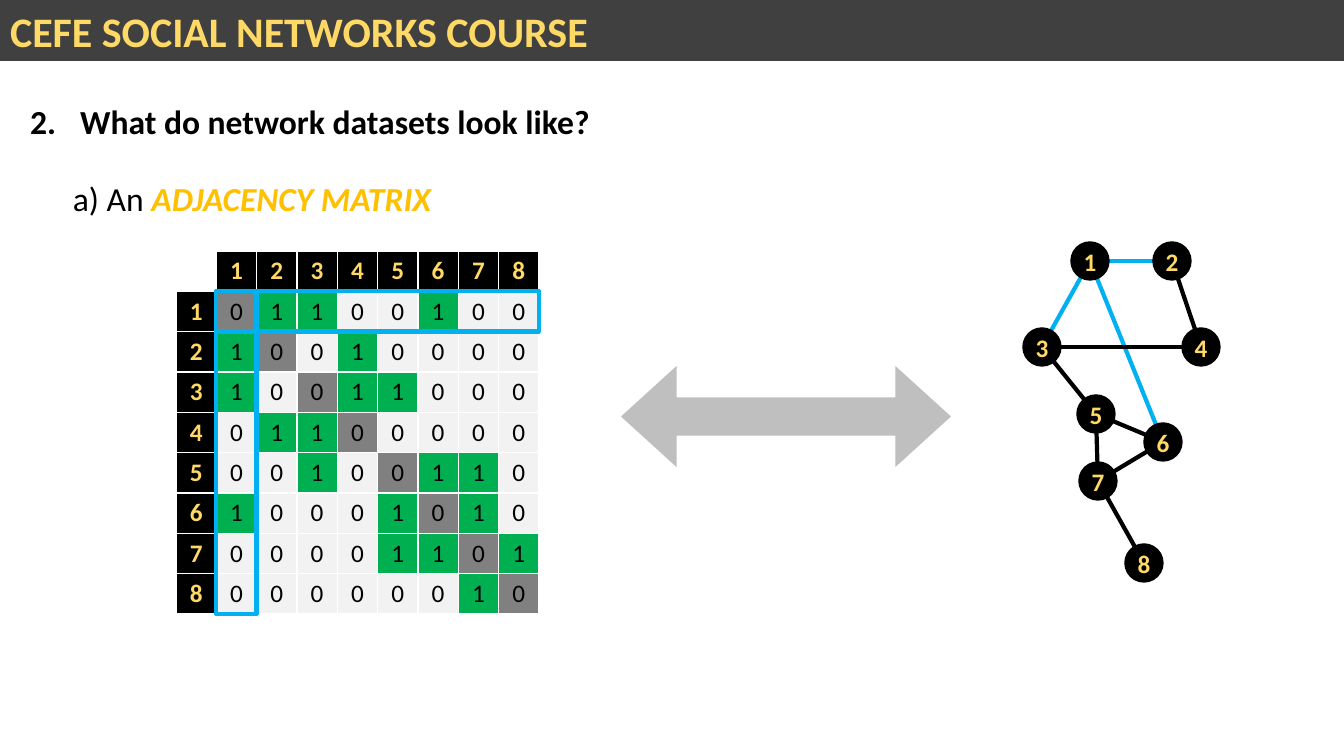
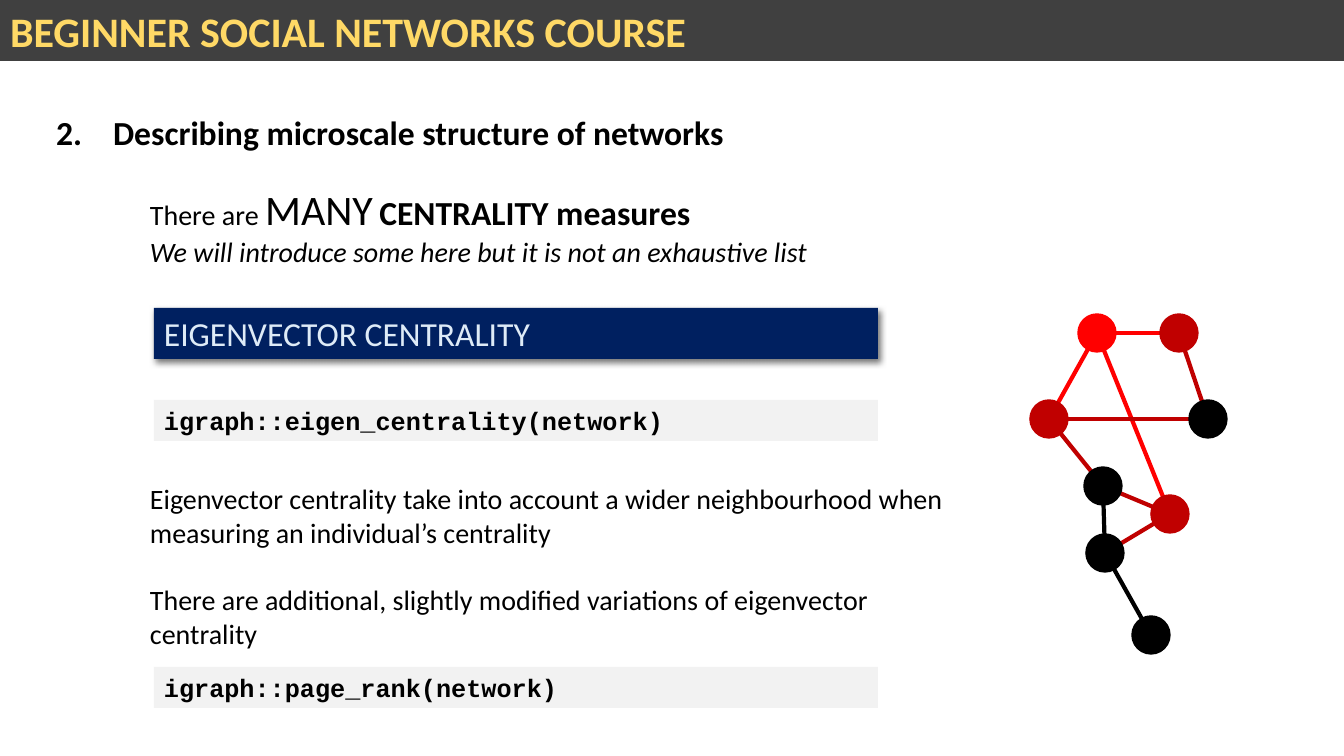
from lxml import etree
from pptx import Presentation
from pptx.dml.color import RGBColor
from pptx.enum.shapes import MSO_CONNECTOR, MSO_SHAPE
from pptx.enum.text import MSO_ANCHOR, MSO_AUTO_SIZE, PP_ALIGN
from pptx.oxml.ns import qn
from pptx.util import Pt

PX = 914400 / 100.8
WIDTH, HEIGHT = 1344, 756

BLACK = RGBColor(0x00, 0x00, 0x00)
WHITE = RGBColor(0xFF, 0xFF, 0xFF)
CHARCOAL = RGBColor(0x40, 0x40, 0x40)
MID_GREY = RGBColor(0x80, 0x80, 0x80)
ARROW_GREY = RGBColor(0xBF, 0xBF, 0xBF)
PALE_GREY = RGBColor(0xF2, 0xF2, 0xF2)
YELLOW = RGBColor(0xFF, 0xD9, 0x66)
GOLD = RGBColor(0xFF, 0xC0, 0x00)
GREEN = RGBColor(0x00, 0xB0, 0x50)
SKY = RGBColor(0x00, 0xB0, 0xF0)
NAVY = RGBColor(0x00, 0x20, 0x60)
ICE = RGBColor(0xDE, 0xEB, 0xF7)
RED = RGBColor(0xFF, 0x00, 0x00)
DARK_RED = RGBColor(0xC0, 0x00, 0x00)

TITLE = {"size": Pt(30), "bold": True, "color": YELLOW}
HEADING = {"size": Pt(24), "bold": True}
LABEL = {"size": Pt(18), "bold": True, "color": YELLOW}
VALUE = {"size": Pt(18), "bold": False}
BODY = {"size": Pt(20)}
CODE = {"size": Pt(18), "bold": True, "name": "Courier New"}

NODES = {1: (1090, 261), 2: (1172, 261), 3: (1042, 347), 4: (1201, 347),
         5: (1096, 414), 6: (1163, 442), 7: (1098, 481), 8: (1144, 563)}
EDGES = [(1, 2), (1, 3), (1, 6), (2, 4), (3, 4),
         (3, 5), (5, 6), (5, 7), (6, 7), (7, 8)]
NODE_SIZE = 38


def px(*lengths):
    return [round(length * PX) for length in lengths]


def write(frame, paragraphs, align=PP_ALIGN.LEFT):
    """Fill a text frame; each paragraph is a list of (text, format) runs."""
    frame.word_wrap = True
    frame.auto_size = MSO_AUTO_SIZE.NONE
    for number, runs in enumerate(paragraphs):
        para = frame.add_paragraph() if number else frame.paragraphs[0]
        para.alignment = align
        for text, style in runs:
            span = para.add_run()
            span.text = text
            values = {"name": "Calibri", "color": BLACK, **style}
            span.font.color.rgb = values.pop("color")
            for name, value in values.items():
                setattr(span.font, name, value)


deck = Presentation()
deck.slide_width, deck.slide_height = px(WIDTH, HEIGHT)

# Title bands, numbered headings and networks
pages = []
for title, heading, left, top, indent, node_colors, edge_colors, shift, labelled in [
    ("CEFE SOCIAL NETWORKS COURSE", "What do network datasets look like?",
     20, 96, 50, {}, {1: SKY}, (0, 0), True),
    ("BEGINNER SOCIAL NETWORKS COURSE", "Describing microscale structure of networks",
     46, 107, 57, {1: RED, 2: DARK_RED, 3: DARK_RED, 6: DARK_RED},
     {1: RED, 2: DARK_RED, 3: DARK_RED, 6: DARK_RED}, (7, 72), False),
]:
    page = deck.slides.add_slide(deck.slide_layouts[1])
    pages.append(page)

    band = page.shapes.title
    band.left, band.top, band.width, band.height = px(0, 0, WIDTH, 61)
    band.fill.solid()
    band.fill.fore_color.rgb = CHARCOAL
    band.text_frame.vertical_anchor = MSO_ANCHOR.MIDDLE
    write(band.text_frame, [[(title, TITLE)]])

    body = page.placeholders[1]
    body.left, body.top, body.width, body.height = px(left, top, 1200, 50)
    para = body.text_frame.paragraphs[0]
    properties = para._p.get_or_add_pPr()
    hanging, = px(indent)
    properties.set("marL", str(hanging))
    properties.set("indent", str(-hanging))
    etree.SubElement(properties, qn("a:buFont"), typeface="+mj-lt")
    etree.SubElement(properties, qn("a:buAutoNum"), type="arabicPeriod", startAt="2")
    para.space_before = Pt(0)
    write(body.text_frame, [[(heading, HEADING)]])

    network = page.shapes.add_group_shape().shapes
    centres = {node: (x + shift[0], y + shift[1]) for node, (x, y) in NODES.items()}
    for edge in EDGES:
        start, end = edge
        line = network.add_connector(
            MSO_CONNECTOR.STRAIGHT, *px(*centres[start], *centres[end]))
        line.line.width = Pt(3)
        line.line.color.rgb = next(
            (color for node, color in edge_colors.items() if node in edge), BLACK)
        etree.SubElement(line._element.spPr, qn("a:effectLst"))
    for node, (x, y) in centres.items():
        dot = network.add_shape(
            MSO_SHAPE.OVAL,
            *px(x - NODE_SIZE / 2, y - NODE_SIZE / 2, NODE_SIZE, NODE_SIZE))
        dot.shadow.inherit = False
        dot.fill.solid()
        dot.fill.fore_color.rgb = dot.line.color.rgb = node_colors.get(node, BLACK)
        dot.line.width = Pt(1)
        if labelled:
            frame = dot.text_frame
            for side in ("left", "right", "top", "bottom"):
                setattr(frame, f"margin_{side}", 0)
            frame.vertical_anchor = MSO_ANCHOR.MIDDLE
            write(frame, [[(str(node), LABEL)]], PP_ALIGN.CENTER)

matrix_page, centrality_page = pages

# Adjacency matrix
box = matrix_page.shapes.add_textbox(*px(63, 173, 788, 50))
write(box.text_frame, [[
    ("a) An ", {"size": Pt(24)}),
    ("ADJACENCY MATRIX", {**HEADING, "italic": True, "color": GOLD})]])

TABLE_LEFT, TABLE_TOP, TABLE_SIZE = 176, 251, 363
count = len(NODES) + 1
matrix = matrix_page.shapes.add_table(
    count, count, *px(TABLE_LEFT, TABLE_TOP, TABLE_SIZE, TABLE_SIZE)).table
matrix.horz_banding = False
for row in range(count):
    for column in range(count):
        linked = (row, column) in EDGES or (column, row) in EDGES
        if row == column == 0:
            text, style, color = "", LABEL, WHITE
        elif row == 0 or column == 0:
            text, style, color = str(row + column), LABEL, BLACK
        elif row == column:
            text, style, color = "0", VALUE, MID_GREY
        else:
            text, style, color = str(int(linked)), VALUE, GREEN if linked else PALE_GREY
        cell = matrix.cell(row, column)
        cell.fill.solid()
        cell.fill.fore_color.rgb = color
        cell.margin_top = cell.margin_bottom = 0
        cell.vertical_anchor = MSO_ANCHOR.MIDDLE
        if text:
            write(cell.text_frame, [[(text, style)]], PP_ALIGN.CENTER)

arrow = matrix_page.shapes.add_shape(MSO_SHAPE.LEFT_RIGHT_ARROW, *px(621, 366, 330, 101))
arrow.adjustments[0], arrow.adjustments[1] = 0.38, 0.55
arrow.shadow.inherit = False
arrow.fill.solid()
arrow.fill.fore_color.rgb = ARROW_GREY
arrow.line.fill.background()

step = TABLE_SIZE / count
long_side = TABLE_SIZE - step
for width, height in [(long_side, step), (step, long_side)]:
    frame_box = matrix_page.shapes.add_shape(
        MSO_SHAPE.RECTANGLE, *px(TABLE_LEFT + step, TABLE_TOP + step, width, height))
    frame_box.shadow.inherit = False
    frame_box.fill.background()
    frame_box.line.color.rgb = SKY
    frame_box.line.width = Pt(3)

# Centrality text
intro = centrality_page.shapes.add_textbox(*px(140, 179, 1087, 129))
write(intro.text_frame, [
    [("There are ", BODY), ("MANY", {"size": Pt(30)}), (" ", BODY),
     ("CENTRALITY measures", HEADING)],
    [("We will introduce some here but it is not an exhaustive list",
      {**BODY, "italic": True})]])

notes = centrality_page.shapes.add_textbox(*px(140, 477, 834, 179))
write(notes.text_frame, [
    [("Eigenvector centrality take into account a wider neighbourhood when "
      "measuring an individual’s centrality", BODY)],
    [("There are additional, slightly modified variations of eigenvector centrality",
      BODY)]])
notes.text_frame.paragraphs[1].space_before = Pt(24)

# Method banner and code bars
for text, style, color, top, height in [
    ("EIGENVECTOR CENTRALITY", {"size": Pt(24), "color": ICE}, NAVY, 308, 51),
    ("igraph::eigen_centrality(network)", CODE, PALE_GREY, 400, 41),
    ("igraph::page_rank(network)", CODE, PALE_GREY, 667, 41),
]:
    bar = centrality_page.shapes.add_shape(MSO_SHAPE.RECTANGLE, *px(154, top, 724, height))
    bar.shadow.inherit = False
    bar.fill.solid()
    bar.fill.fore_color.rgb = color
    bar.line.fill.background()
    bar.text_frame.vertical_anchor = MSO_ANCHOR.MIDDLE
    write(bar.text_frame, [[(text, style)]])
    if color == NAVY:
        effects = bar._element.spPr.find(qn("a:effectLst"))
        shadow = etree.SubElement(
            effects, qn("a:outerShdw"), blurRad=str(Pt(4.5)), dist=str(Pt(2.6)),
            dir=str(53 * 60000), algn="tl", rotWithShape="0")
        shade = etree.SubElement(shadow, qn("a:srgbClr"), val=str(BLACK))
        etree.SubElement(shade, qn("a:alpha"), val="53000")

deck.save("out.pptx")
